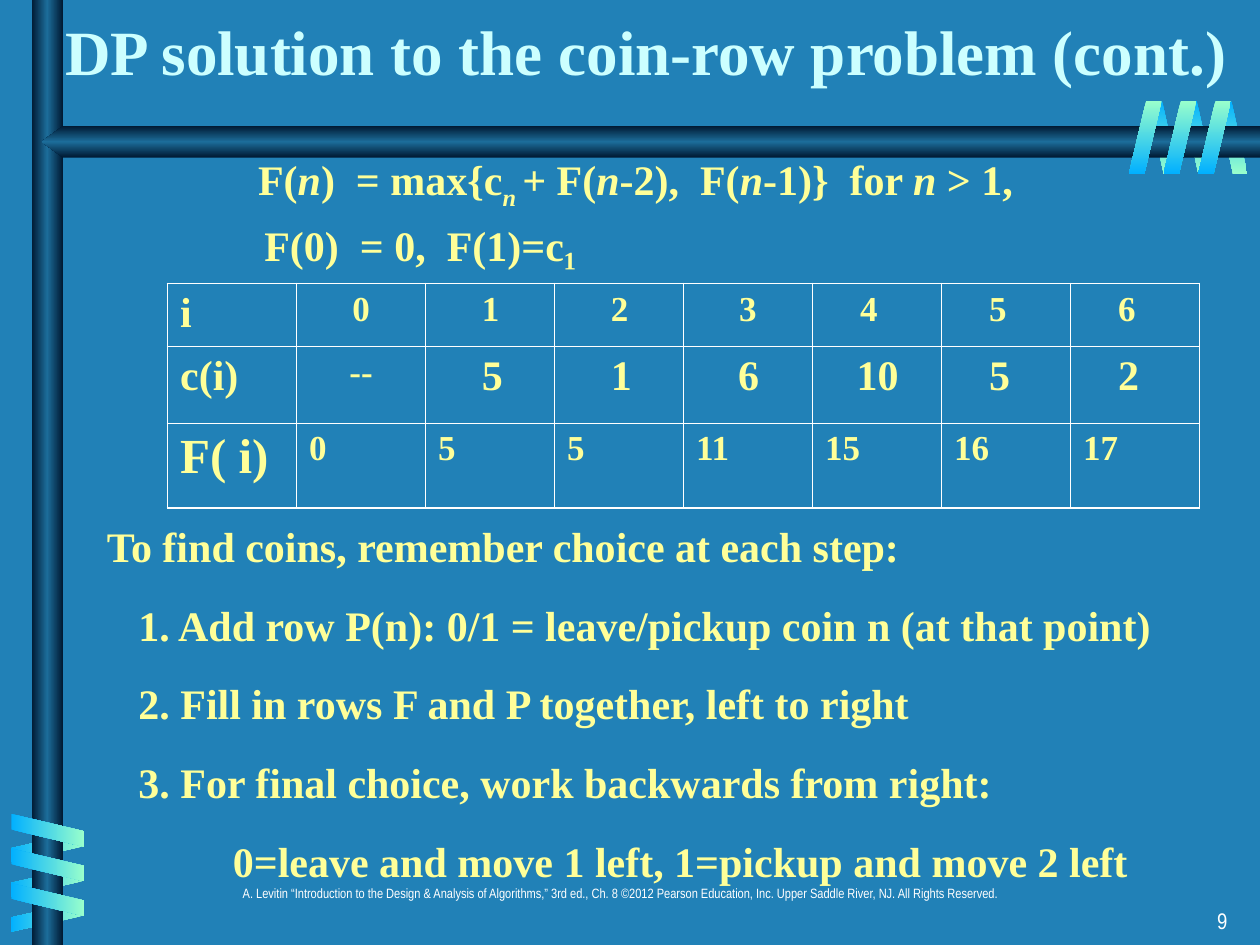
from dataclasses import dataclass

from pptx import Presentation
from pptx.dml.color import RGBColor
from pptx.enum.shapes import MSO_SHAPE
from pptx.enum.text import MSO_ANCHOR, PP_ALIGN
from pptx.oxml import parse_xml
from pptx.oxml.ns import nsdecls, qn
from pptx.util import Inches, Pt


@dataclass(frozen=True)
class Theme:
    """Colours, fonts and type sizes of the slide."""
    back: str = "2181B7"
    title: str = "CCFFFF"
    body: str = "FFFF99"
    white: str = "FFFFFF"
    bar: tuple = ("001932", "1C6D9A", "001932")
    ribbon: tuple = ("01B0FF", "99FFCC")
    serif: str = "Times New Roman"
    narrow: str = "Arial Narrow"
    title_size: float = 36
    body_size: float = 24
    value_size: float = 20
    label_size: float = 28
    footer_size: float = 7.7
    number_size: float = 12.9
    outer_line: float = 1.08
    inner_line: float = 0.45


T = Theme()
RIBBON_STEP = 0.275
INDEX_ROW = [("0", None), ("1", 25), ("2", 25), ("3", None), ("4", 20), ("5", 20), ("6", 20)]
COIN_ROW = [("--", None), ("5", 25), ("1", 25), ("6", 24), ("10", 18), ("5", 20), ("2", 20)]
BEST_ROW = [(v, 0) for v in ("0", "5", "5", "11", "15", "16", "17")]
FORMULA = ["F(", "n", ")  = max{c", "n ", "+ F(", "n", "-2),  F(", "n", "-1)}  for ", "n ", "> 1, "]
STEPS = [
    ("To find coins, remember choice at each step:", 0),
    ("1. Add row P(n): 0/1 = leave/pickup coin n (at that point)", 0.25),
    ("2. Fill in rows F and P together, left to right", 0.25),
    ("3. For final choice, work backwards from right:", 0.25),
    ("0=leave and move 1 left, 1=pickup and move 2 left", 1),
]


def style(p, size, color=T.body, font=T.serif, bold=True, align=PP_ALIGN.LEFT, indent=0):
    """Set the type, alignment and left indent (points) of a paragraph."""
    p.alignment = align
    if indent:
        pPr = p._p.get_or_add_pPr()
        pPr.set("marL", str(Pt(indent)))
        pPr.set("indent", "0")
    p.font.size, p.font.name, p.font.bold = Pt(size), font, bold
    p.font.color.rgb = RGBColor.from_string(color)


def text_frame(slide, box):
    """Add a wrapping text box and return its frame."""
    tf = slide.shapes.add_textbox(*map(Inches, box)).text_frame
    tf.word_wrap = True
    return tf


def paint(s, colors, angle):
    """Fill a shape with an even gradient fixed to the page."""
    s.shadow.inherit = False
    s.line.fill.background()
    s.fill.gradient()
    last = len(colors) - 1
    stops = "".join(f'<a:gs pos="{100000 * i // last}"><a:srgbClr val="{c}"/></a:gs>'
                    for i, c in enumerate(colors))
    spPr = s._element.spPr
    spPr.replace(spPr.find(qn("a:gradFill")), parse_xml(
        f'<a:gradFill rotWithShape="0" {nsdecls("a")}><a:gsLst>{stops}</a:gsLst>'
        f'<a:lin ang="{angle * 60000}" scaled="0"/></a:gradFill>'))


def ribbons(slide, box, colors, rotation, flip=False):
    """Repeat a slanted band three times, across or down the page."""
    x, y, w, h = box
    down = rotation in (90, 270)
    for i in range(3):
        dx, dy = (0, i * RIBBON_STEP) if down else (i * RIBBON_STEP, 0)
        s = slide.shapes.add_shape(MSO_SHAPE.PARALLELOGRAM,
                                   *map(Inches, (x + dx, y + dy, w, h)))
        s.adjustments[0] = 0.53
        s.rotation = rotation
        if flip:
            s._element.spPr.xfrm.set("flipH", "1")
        paint(s, colors, 0 if down else 90)


def post(slide, box):
    """Draw the vertical bar."""
    s = slide.shapes.add_shape(MSO_SHAPE.RECTANGLE, *map(Inches, box))
    paint(s, T.bar, 0)


def beam(slide, box):
    """Draw the horizontal bar with its pointed left end."""
    x, y, w, h = box
    points = [(x + w, y), (x + 0.17, y), (x, y + h / 2), (x + 0.17, y + h), (x + w, y + h)]
    points = [(Inches(a), Inches(b)) for a, b in points]
    fb = slide.shapes.build_freeform(*points[0])
    fb.add_line_segments(points[1:])
    paint(fb.convert_to_shape(), T.bar, 90)


def decoration(slide):
    """Weave the ribbons behind and in front of the bars."""
    blue_green, green_blue = T.ribbon, T.ribbon[::-1]
    ribbons(slide, (9.11, 0.8, 0.24, 0.58), blue_green, 180, True)
    ribbons(slide, (0.25, 6.44, 0.24, 0.57), green_blue, 90, True)
    post(slide, (0.25, 0, 0.25, 7.5))
    beam(slide, (0.33, 1, 9.67, 0.25))
    ribbons(slide, (0.25, 6.3, 0.26, 0.58), blue_green, 270)
    ribbons(slide, (8.96, 0.8, 0.26, 0.58), green_blue, 0)


def line_of_text(slide, box, text, anchor=MSO_ANCHOR.TOP, spacing=1.0, **look):
    """Place one styled paragraph in a box."""
    tf = text_frame(slide, box)
    tf.vertical_anchor = anchor
    p = tf.paragraphs[0]
    p.text, p.line_spacing = text, spacing
    style(p, **look)


def formula(slide, box):
    """Write the recurrence and its base cases."""
    tf = text_frame(slide, box)
    p = tf.paragraphs[0]
    style(p, T.body_size, align=PP_ALIGN.CENTER)
    for i, text in enumerate(FORMULA):
        r = p.add_run()
        r.text = text
        r.font.italic = i % 2 == 1
        if i == 3:
            r.font._element.set("baseline", "-25000")
    p = tf.add_paragraph()
    p.text, p.space_before = "F(0)  = 0,  F(1)=c₁", Pt(4.8)
    style(p, T.body_size, indent=108)


def borders(cell, outer):
    """Rule a cell, heavier on the sides named in outer."""
    tcPr = cell._tc.get_or_add_tcPr()
    for i, side in enumerate("LRTB"):
        width = Pt(T.outer_line if side in outer else T.inner_line)
        tcPr.insert(i, parse_xml(
            f'<a:ln{side} w="{width}" {nsdecls("a")}><a:solidFill>'
            f'<a:srgbClr val="{T.white}"/></a:solidFill></a:ln{side}>'))


def coin_table(slide, box):
    """Lay out the table of indexes, coins and best sums."""
    rows = [[("i", 0)] + INDEX_ROW, [("c(i)", 0)] + COIN_ROW, [("F( i)", 0)] + BEST_ROW]
    label_sizes = (T.body_size, T.body_size, T.label_size)
    table = slide.shapes.add_table(3, 8, *map(Inches, box)).table
    table.first_row = table.horz_banding = False
    for row, height in zip(table.rows, (0.5, 0.61, 0.67)):
        row.height = Inches(height)
    for i, row in enumerate(rows):
        for j, (text, indent) in enumerate(row):
            cell = table.cell(i, j)
            cell.fill.background()
            sides = {"L": j == 0, "R": j == 7, "T": i == 0, "B": i == 2}
            borders(cell, [k for k, on in sides.items() if on])
            size = T.body_size if i == 1 and j > 1 else T.value_size
            p = cell.text_frame.paragraphs[0]
            p.text = text
            style(p, label_sizes[i] if j == 0 else size, indent=indent or 0,
                  align=PP_ALIGN.CENTER if indent is None else PP_ALIGN.LEFT)


def steps(slide, box):
    """List the steps for recovering the coins."""
    tf = text_frame(slide, box)
    for i, (text, indent) in enumerate(STEPS):
        p = tf.add_paragraph() if i else tf.paragraphs[0]
        p.text = text
        if i:
            p.space_before = Pt(16.2)
        style(p, T.body_size, indent=indent * 72)


def main():
    """Build and save the slide."""
    prs = Presentation()
    prs.slide_width, prs.slide_height = Inches(10), Inches(7.5)
    slide = prs.slides.add_slide(prs.slide_layouts[6])
    slide.background.fill.solid()
    slide.background.fill.fore_color.rgb = RGBColor.from_string(T.back)
    decoration(slide)
    small = dict(color=T.white, font=T.narrow, bold=False)
    line_of_text(slide, (1.42, 7, 7, 0.33),
                 "A. Levitin “Introduction to the Design & Analysis of Algorithms,” 3rd ed., Ch. 8 "
                 "©2012 Pearson Education, Inc. Upper Saddle River, NJ. All Rights Reserved.",
                 spacing=0.8, size=T.footer_size, align=PP_ALIGN.CENTER, **small)
    line_of_text(slide, (7.76, 7.17, 2.08, 0.33), "9", spacing=0.9,
                 size=T.number_size, align=PP_ALIGN.RIGHT, **small)
    line_of_text(slide, (0.42, 0, 9.58, 0.75), "DP solution to the coin-row problem (cont.)",
                 anchor=MSO_ANCHOR.BOTTOM, size=T.title_size, color=T.title)
    coin_table(slide, (1.33, 2.25, 8.19, 1.78))
    formula(slide, (0.5, 1.17, 9.17, 0.96))
    steps(slide, (0.75, 4.08, 8.92, 2.94))


    prs.save("out.pptx")


if __name__ == "__main__":
    main()
